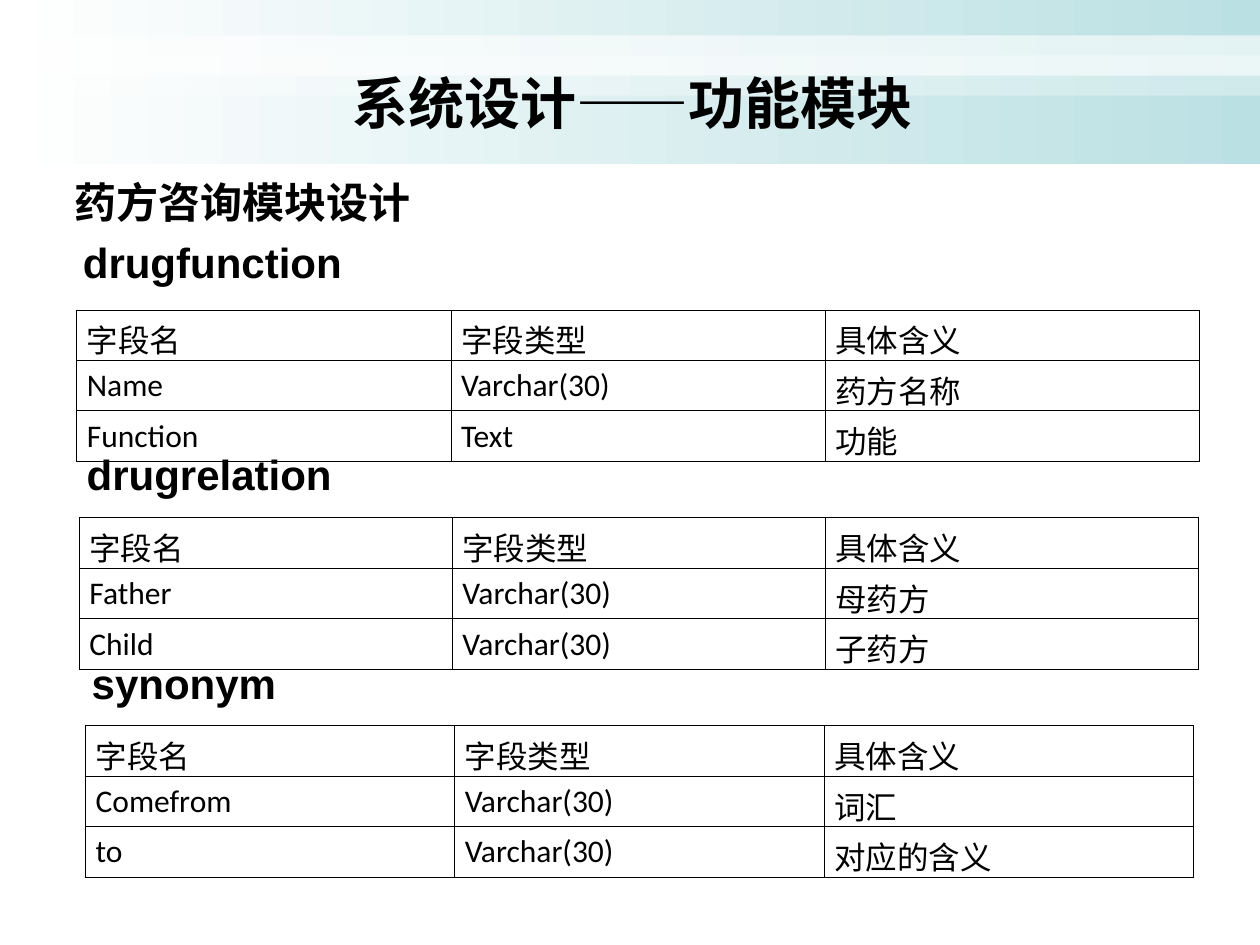
"""Build the slide on the database tables of the prescription consulting module."""
from lxml.etree import SubElement
from pptx import Presentation
from pptx.dml.color import RGBColor as RGB
from pptx.enum.shapes import MSO_SHAPE as Shape
from pptx.enum.text import MSO_ANCHOR as Anchor, MSO_AUTO_SIZE as AutoSize, PP_ALIGN as Align
from pptx.oxml import parse_xml
from pptx.oxml.ns import nsdecls, qn
from pptx.util import Inches, Pt

BLACK, WHITE, TEAL = RGB(0, 0, 0), RGB(255, 255, 255), RGB(0xBB, 0xE0, 0xE3)
CJK = "Noto Sans CJK SC"
THEME = {
    "title": {"name": CJK, "size": Pt(32), "bold": True},
    "heading": {"name": "Arial", "size": Pt(24), "bold": True},
    "cell": {"name": "Calibri", "size": Pt(18), "bold": False},
    "border": Pt(0.45),
}


def write(frame, text, style, align):
    paragraph = frame.paragraphs[0]
    paragraph.alignment = align
    run = paragraph.add_run()
    run.text = text
    for key, value in THEME[style].items():
        setattr(run.font, key, value)
    run.font.color.rgb = BLACK
    SubElement(run._r.get_or_add_rPr(), qn("a:ea"), typeface=CJK)


def share(left, top, width, height):
    return [round(part * side) for part, side in zip((left, top, width, height), (W, H, W, H))]


prs = Presentation()
prs.slide_width, prs.slide_height = W, H = Inches(10), Inches(7.5)
slide = prs.slides.add_slide(prs.slide_layouts[5])

for top, height, opacity in [(0, 1.3, None), (0.28, 0.32, 60), (0.44, 0.32, 31)]:
    band = slide.shapes.add_shape(Shape.RECTANGLE, *share(0, top / 7.5, 1, height / 7.5))
    band.shadow.inherit = False
    band.line.fill.background()
    if opacity is None:
        band.fill.gradient()
        band.fill.gradient_angle = 0
        for stop, color in zip(band.fill.gradient_stops, (WHITE, TEAL)):
            stop.color.rgb = color
    else:
        band.fill.solid()
        band.fill.fore_color.rgb = WHITE
        color = band.element.spPr.find(qn("a:solidFill"))[0]
        SubElement(color, qn("a:alpha"), val=str(opacity * 1000))

title = slide.shapes.title
title.element.getparent().append(title.element)
title.left, title.top, title.width, title.height = share(0.052, 0.43 / 7.5, 0.9, 0.76 / 7.5)
title.text_frame.vertical_anchor = Anchor.MIDDLE
write(title.text_frame, "系统设计——功能模块", "title", Align.CENTER)

headings = [
    ("药方咨询模块设计", 0.049, 1.35),
    ("drugfunction", 0.056, 1.83),
    ("drugrelation", 0.059, 3.51),
    ("synonym", 0.063, 5.17),
]
for text, left, top in headings:
    heading = slide.shapes.add_textbox(*share(left, top / 7.5, 0.39, 0.5 / 7.5)).text_frame
    heading.word_wrap = True
    heading.auto_size = AutoSize.SHAPE_TO_FIT_TEXT
    write(heading, text, "heading", Align.LEFT)

field_header = ("字段名", "字段类型", "具体含义")
schemas = [
    (0.061, 2.46, 0.891, 1.04, [("Name", "Varchar(30)", "药方名称"), ("Function", "Text", "功能")]),
    (0.063, 4.11, 0.888, 1.02, [("Father", "Varchar(30)", "母药方"), ("Child", "Varchar(30)", "子药方")]),
    (0.068, 5.76, 0.879, 1.13, [("Comefrom", "Varchar(30)", "词汇"), ("to", "Varchar(30)", "对应的含义")]),
]
cell_format = {
    "margin_left": Inches(0.08), "margin_right": Inches(0.08),
    "margin_top": Inches(0.05), "margin_bottom": Inches(0.05),
}
for left, top, width, height, fields in schemas:
    rows = [field_header, *fields]
    area = share(left, top / 7.5, width, height / 7.5)
    schema = slide.shapes.add_table(len(rows), len(field_header), *area).table
    schema.first_row = schema.horz_banding = False
    for r, row in enumerate(rows):
        for c, text in enumerate(row):
            cell = schema.cell(r, c)
            for key, value in cell_format.items():
                setattr(cell, key, value)
            for edge in ("lnL", "lnR", "lnT", "lnB"):
                cell._tc.get_or_add_tcPr().append(parse_xml(
                    f'<a:{edge} {nsdecls("a")} w="{THEME["border"]}"><a:solidFill>'
                    f'<a:srgbClr val="{BLACK}"/></a:solidFill></a:{edge}>'))
            cell.fill.background()
            write(cell.text_frame, text, "cell", Align.JUSTIFY)

prs.save("out.pptx")
